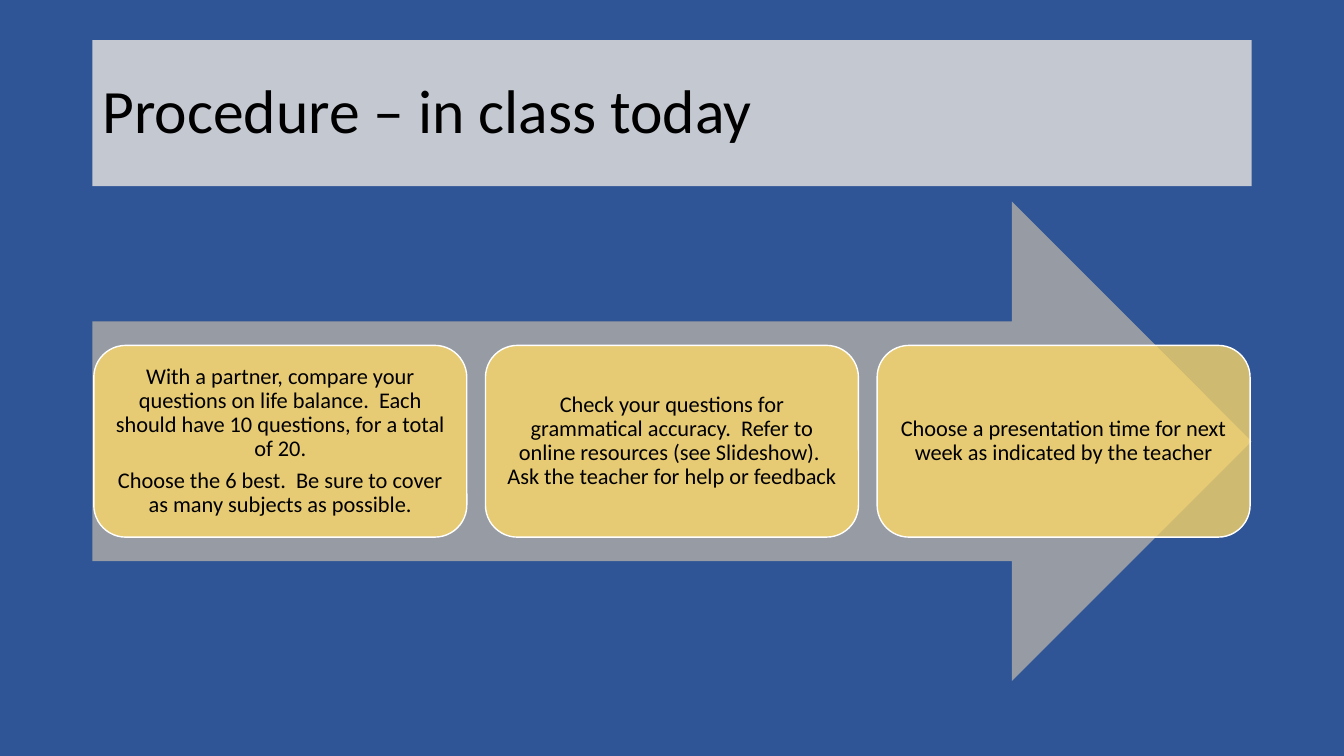
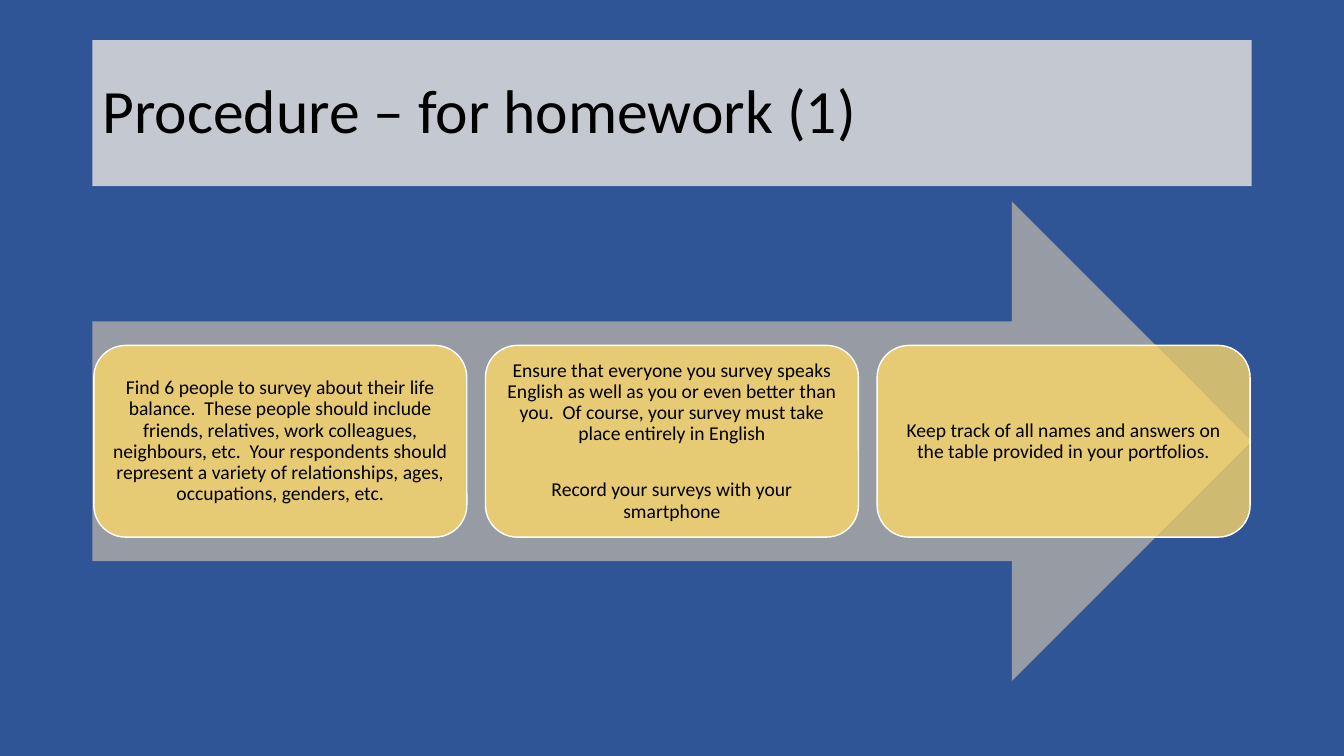
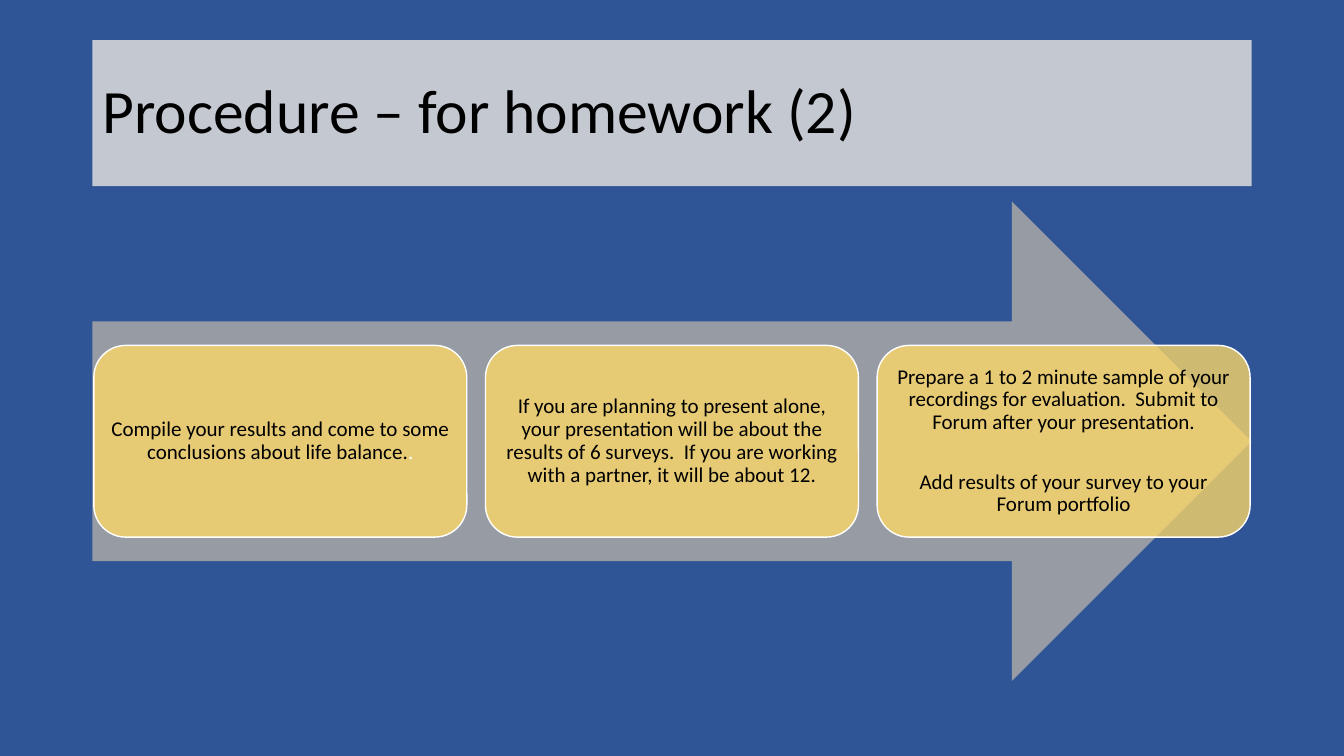
from dataclasses import dataclass

from lxml.etree import SubElement
from pptx import Presentation
from pptx.dml.color import RGBColor
from pptx.enum.shapes import MSO_SHAPE
from pptx.enum.text import MSO_ANCHOR, MSO_AUTO_SIZE, PP_ALIGN
from pptx.oxml.ns import qn
from pptx.util import Cm, Pt


@dataclass(frozen=True)
class Theme:
    font: str = "Calibri"
    background: str = "2F5597"
    band: str = "D9D9D9"
    arrow: str = "A6A6A6"
    card: str = "FFD966"
    outline: str = "FFFFFF"
    text: str = "000000"
    faint: str = "FFFFFF"
    title_size: int = 44
    line_spacing: float = 0.9


theme = Theme()

# Title, card text size, space between paragraphs, cards as lists of paragraphs
SLIDES = [
    ("Procedure – in class today", 16, 5.6, [
        ["With a partner, compare your questions on life balance.  Each should "
         "have 10 questions, for a total of 20.",
         "Choose the 6 best.  Be sure to cover as many subjects as possible."],
        ["Check your questions for grammatical accuracy.  Refer to online "
         "resources (see Slideshow).  Ask the teacher for help or feedback"],
        ["Choose a presentation time for next week as indicated by the teacher"],
    ]),
    ("Procedure – for homework (1)", 14, 25, [
        ["Find 6 people to survey about their life balance.  These people should "
         "include friends, relatives, work colleagues, neighbours, etc.  Your "
         "respondents should represent a variety of relationships, ages, "
         "occupations, genders, etc."],
        ["Ensure that everyone you survey speaks English as well as you or even "
         "better than you.  Of course, your survey must take place entirely in "
         "English",
         "Record your surveys with your smartphone"],
        ["Keep track of all names and answers on the table provided in your "
         "portfolios."],
    ]),
    ("Procedure – for homework (2)", 15, 26.5, [
        [("Compile your results and come to some conclusions about life balance.",
          ".")],
        ["If you are planning to present alone, your presentation will be about "
         "the results of 6 surveys.  If you are working with a partner, it will "
         "be about 12."],
        ["Prepare a 1 to 2 minute sample of your recordings for evaluation.  "
         "Submit to Forum after your presentation.",
         "Add results of your survey to your Forum portfolio"],
    ]),
]

LEFT, WIDTH = 2.33, 29.21
TITLE_TOP, TITLE_H = 1.01, 3.68
ARROW_TOP, ARROW_H = 5.08, 12.08
CARD_W, CARD_GAP, CARD_H = 9.4, 0.47, 0.4 * ARROW_H
CARD_TOP = ARROW_TOP + (ARROW_H - CARD_H) / 2
CARDS_LEFT = LEFT + (WIDTH - 3 * CARD_W - 2 * CARD_GAP) / 2


def fill_shape(sp, color, opacity, line=None):
    """Give a shape a see-through fill and a thin outline, or none."""
    sp.fill.solid()
    sp.fill.fore_color.rgb = RGBColor.from_string(color)
    clr = sp._element.spPr.find(qn("a:solidFill")).find(qn("a:srgbClr"))
    SubElement(clr, qn("a:alpha"), val=str(opacity * 1000))
    if line:
        sp.line.color.rgb = RGBColor.from_string(line)
        sp.line.width = Pt(1)
    else:
        sp.line.fill.background()


def write(p, text, size, color=theme.text, align=PP_ALIGN.LEFT, before=0):
    p.alignment = align
    p.line_spacing = theme.line_spacing
    p.space_before = Pt(before)
    r = p.add_run()
    r.text = text
    r.font.name = theme.font
    r.font.size = Pt(size)
    r.font.color.rgb = RGBColor.from_string(color)


prs = Presentation()
prs.slide_width, prs.slide_height = Cm(33.87), Cm(19.05)
bg = prs.slide_master.background.fill
bg.solid()
bg.fore_color.rgb = RGBColor.from_string(theme.background)
title_only = prs.slide_layouts.get_by_name("Title Only")

for title, size, gap, cards in SLIDES:
    slide = prs.slides.add_slide(title_only)

    sp = slide.shapes.title
    sp.left, sp.top = Cm(LEFT), Cm(TITLE_TOP)
    sp.width, sp.height = Cm(WIDTH), Cm(TITLE_H)
    fill_shape(sp, theme.band, 88)
    tf = sp.text_frame
    tf.auto_size = MSO_AUTO_SIZE.NONE
    tf.vertical_anchor = MSO_ANCHOR.MIDDLE
    write(tf.paragraphs[0], title, theme.title_size)

    arrow = slide.shapes.add_shape(MSO_SHAPE.RIGHT_ARROW, Cm(LEFT), Cm(ARROW_TOP),
                                   Cm(WIDTH), Cm(ARROW_H))
    arrow.shadow.inherit = False
    fill_shape(arrow, theme.arrow, 88)

    for i, paragraphs in enumerate(cards):
        card = slide.shapes.add_shape(
            MSO_SHAPE.ROUNDED_RECTANGLE, Cm(CARDS_LEFT + i * (CARD_W + CARD_GAP)),
            Cm(CARD_TOP), Cm(CARD_W), Cm(CARD_H))
        card.shadow.inherit = False
        fill_shape(card, theme.card, 77, line=theme.outline)
        tf = card.text_frame
        tf.word_wrap = True
        tf.vertical_anchor = MSO_ANCHOR.MIDDLE
        tf.margin_left = tf.margin_right = tf.margin_top = tf.margin_bottom = Cm(0.16)
        for j, text in enumerate(paragraphs):
            p = tf.add_paragraph() if j else tf.paragraphs[0]
            runs = text if isinstance(text, tuple) else (text,)
            for run_text, color in zip(runs, (theme.text, theme.faint)):
                write(p, run_text, size, color=color, align=PP_ALIGN.CENTER,
                      before=gap if j else 0)

prs.save("out.pptx")
